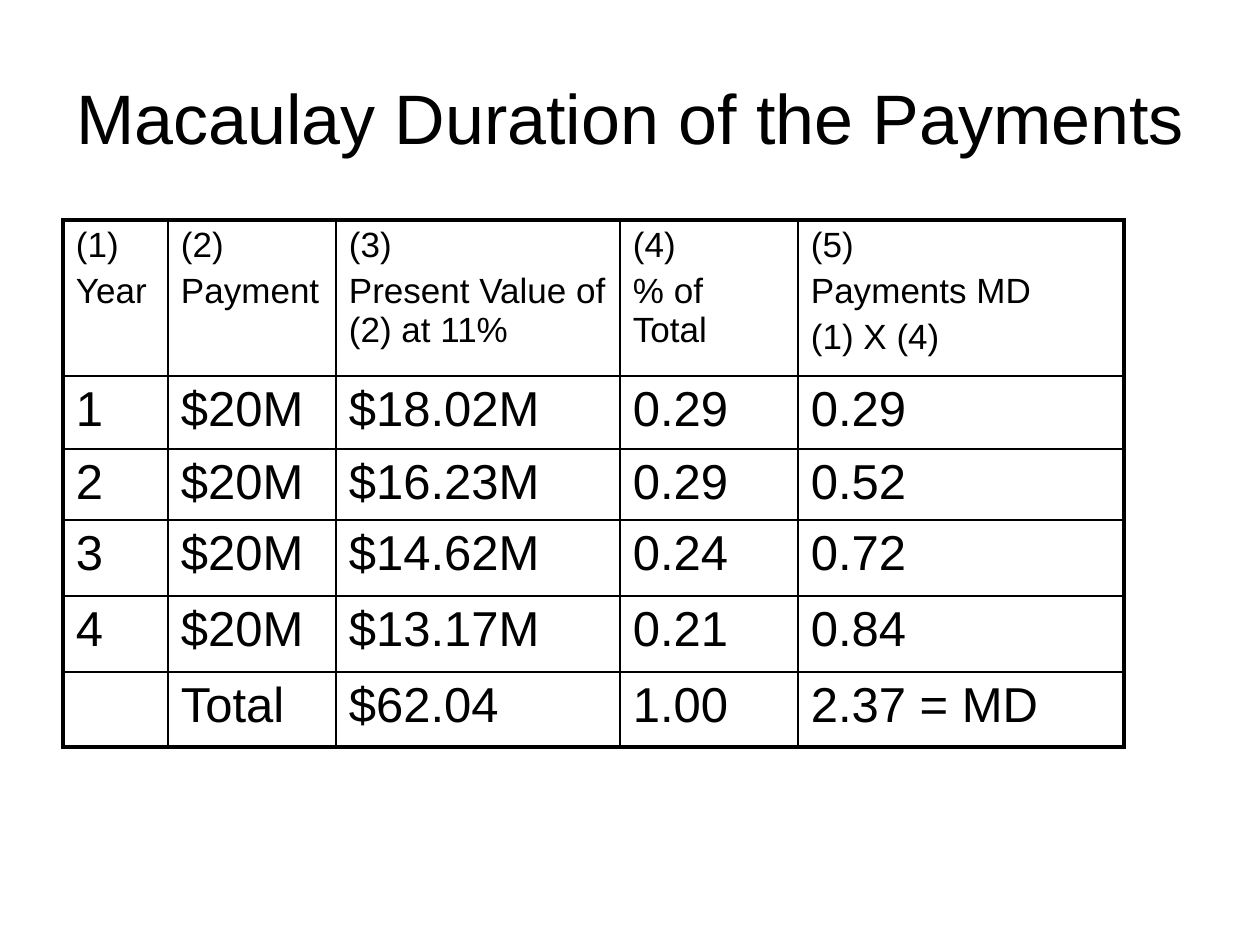
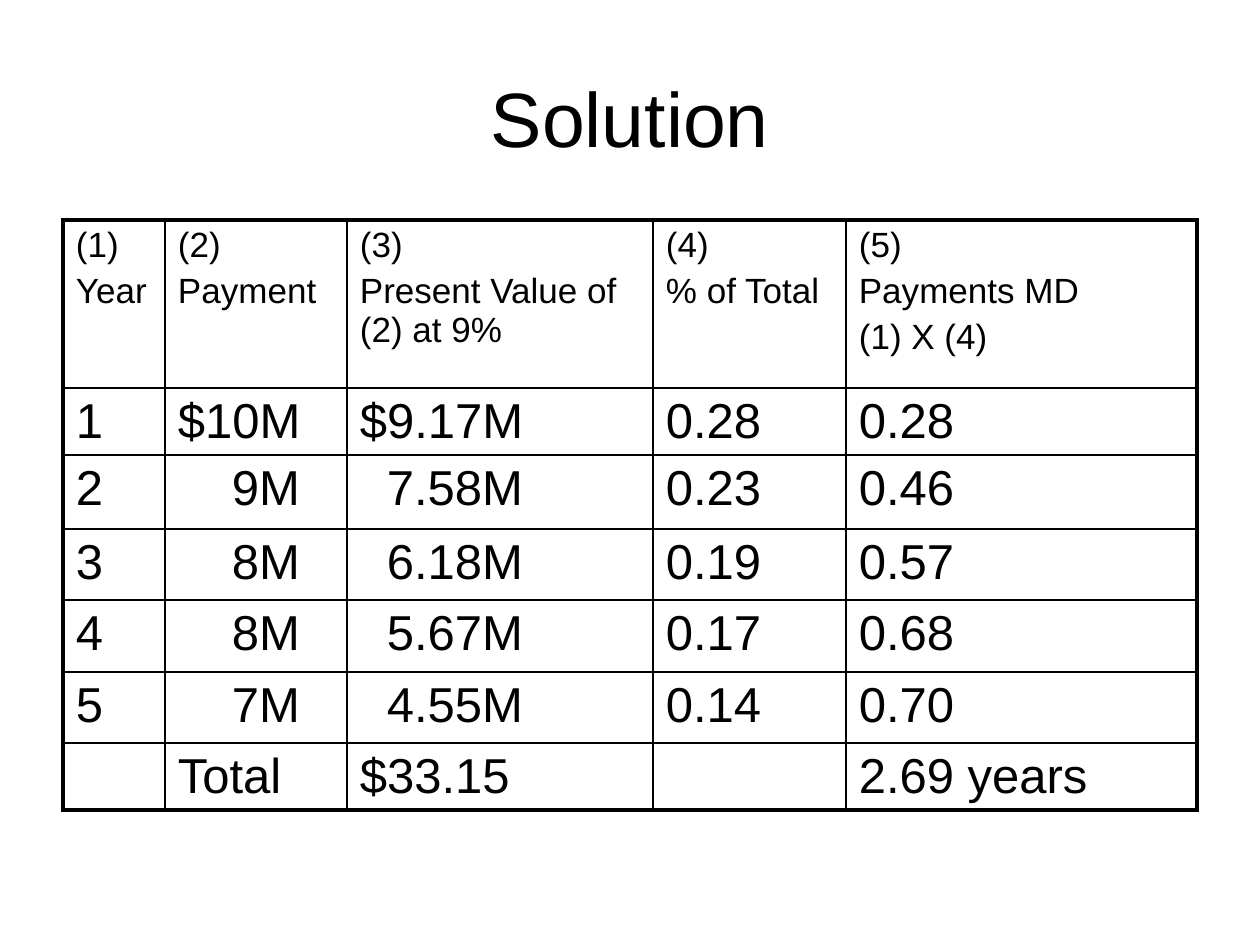
from lxml.etree import SubElement
from pptx import Presentation
from pptx.dml.color import RGBColor as Rgb
from pptx.enum.text import MSO_ANCHOR as Anchor, MSO_AUTO_SIZE as AutoSize, PP_ALIGN as Align
from pptx.oxml.ns import qn
from pptx.util import Pt

EMU_PER_PX = 914400 / 126
COLORS = {"ink": "000000"}
FONT = "Arial"
TITLE_BOX = {"left": 63, "top": 38, "width": 1134, "height": 157}
TABLE_LEFT, TABLE_TOP = 63, 220
CELL_MARGINS = {"margin_left": 13, "margin_right": 13, "margin_top": 6, "margin_bottom": 6}
AMOUNT_INDENTS = {1: 54, 2: 27}
HEADER_SIZE, BODY_SIZE = 20, 28
OUTER_LINE, INNER_LINE = 2.25, 1

PAYMENTS = [
    ["1", "$20M", "$18.02M", "0.29", "0.29"],
    ["2", "$20M", "$16.23M", "0.29", "0.52"],
    ["3", "$20M", "$14.62M", "0.24", "0.72"],
    ["4", "$20M", "$13.17M", "0.21", "0.84"],
    ["", "Total", "$62.04", "1.00", "2.37 = MD"],
]
SOLUTION = [
    ["1", "$10M", "$9.17M", "0.28", "0.28"],
    ["2", "9M", "7.58M", "0.23", "0.46"],
    ["3", "8M", "6.18M", "0.19", "0.57"],
    ["4", "8M", "5.67M", "0.17", "0.68"],
    ["5", "7M", "4.55M", "0.14", "0.70"],
    ["", "Total", "$33.15", "", "2.69 years"],
]


def px(length):
    return round(length * EMU_PER_PX)


def apply(target, values):
    for name, value in values.items():
        setattr(target, name, value)


def header(rate):
    labels = ["Year", "Payment", f"Present Value of (2) at {rate}", "% of Total",
              "Payments MD\n(1) X (4)"]
    return [f"({number})\n{label}" for number, label in enumerate(labels, 1)]


def write(frame, text, size, **para_format):
    for index, line in enumerate(text.split("\n")):
        para = frame.paragraphs[0] if index == 0 else frame.add_paragraph()
        apply(para, para_format)
        para.space_before = Pt(size * 0.2 if index else 0)
        span = para.add_run()
        span.text = line
        apply(span.font, {"name": FONT, "size": Pt(size)})
        span.font.color.rgb = Rgb.from_string(COLORS["ink"])


def add_title(page, text, size):
    box = page.shapes.title
    apply(box, {name: px(length) for name, length in TITLE_BOX.items()})
    apply(box.text_frame, {"vertical_anchor": Anchor.MIDDLE, "word_wrap": True,
                           "auto_size": AutoSize.NONE})
    write(box.text_frame, text, size, alignment=Align.CENTER)


def draw_borders(cell, outer_sides):
    properties = cell._tc.get_or_add_tcPr()
    for index, side in enumerate("LRTB"):
        width = OUTER_LINE if side in outer_sides else INNER_LINE
        line = SubElement(properties, qn(f"a:ln{side}"), w=str(Pt(width)))
        fill = SubElement(line, qn("a:solidFill"))
        SubElement(fill, qn("a:srgbClr"), val=COLORS["ink"])
        properties.insert(index, line)


def add_duration_table(page, rows, widths, heights):
    frame = page.shapes.add_table(len(rows), len(widths), px(TABLE_LEFT), px(TABLE_TOP),
                                  px(sum(widths)), px(sum(heights)))
    table = frame.table
    apply(table, {"first_row": False, "horz_banding": False})
    for column, width in zip(table.columns, widths):
        column.width = px(width)
    for row, height in zip(table.rows, heights):
        row.height = px(height)
    last_row, last_column = len(rows) - 1, len(widths) - 1
    for r, texts in enumerate(rows):
        for c, text in enumerate(texts):
            cell = table.cell(r, c)
            margins = dict(CELL_MARGINS)
            if text.endswith("M") and not text.startswith("$"):
                margins["margin_left"] += AMOUNT_INDENTS[c]
            apply(cell, {name: px(length) for name, length in margins.items()})
            cell.fill.background()
            edges = {"L": c == 0, "R": c == last_column, "T": r == 0, "B": r == last_row}
            draw_borders(cell, [side for side, outer in edges.items() if outer])
            if text:
                write(cell.text_frame, text, BODY_SIZE if r else HEADER_SIZE)


def add_page(deck, title, title_size, rows, widths, heights):
    page = deck.slides.add_slide(deck.slide_layouts[5])
    add_title(page, title, title_size)
    add_duration_table(page, rows, widths, heights)


def main():
    deck = Presentation()
    apply(deck, {"slide_width": px(1260), "slide_height": px(945)})
    add_page(deck, "Macaulay Duration of the Payments", 40, [header("11%")] + PAYMENTS,
             [105, 168, 284, 178, 326], [156, 73, 71, 76, 76, 75])
    add_page(deck, "Solution", 44, [header("9%")] + SOLUTION,
             [102, 182, 306, 193, 351], [168, 67, 74, 71, 72, 71, 67])
    deck.save("out.pptx")


if __name__ == "__main__":
    main()
